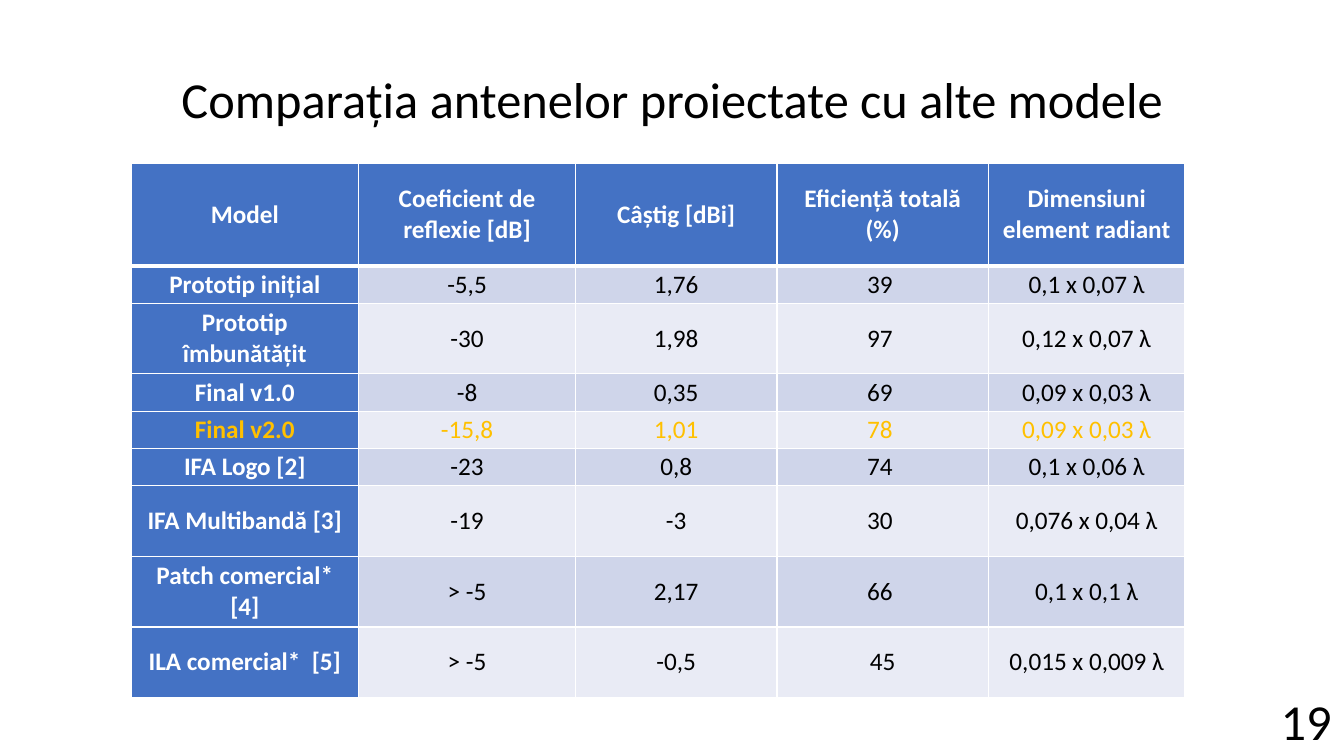
"""Build a slide that compares the designed antennas with other models."""
from lxml import etree
from pptx import Presentation
from pptx.dml.color import RGBColor
from pptx.enum import text
from pptx.oxml.ns import qn
from pptx.util import Cm, Pt

FONT = "Calibri"
COLOURS = {
    "black": "000000",
    "white": "FFFFFF",
    "blue": "4472C4",
    "dark_band": "CFD5EA",
    "light_band": "E9EBF5",
    "highlight": "FFC000",
}
COLUMN_WIDTHS = [5.74, 5.46, 5.08, 5.33, 4.95]
HEADER_HEIGHT, SINGLE, DOUBLE = 2.59, 0.94, 1.78
ROW_HEIGHTS = [HEADER_HEIGHT, SINGLE, DOUBLE] + [SINGLE] * 3 + [DOUBLE] * 3
HIGHLIGHTED_MODEL = "Final v2.0"
ANTENNAS = [
    ["Model", "Coeficient de reflexie [dB]", "Câștig [dBi]", "Eficiență totală (%)",
     "Dimensiuni element radiant"],
    ["Prototip inițial", "-5,5", "1,76", "39 ", "0,1 x 0,07 λ"],
    ["Prototip îmbunătățit", "-30", "1,98", "97 ", "0,12 x 0,07 λ"],
    ["Final v1.0", "-8", "0,35", "69 ", "0,09 x 0,03 λ"],
    [HIGHLIGHTED_MODEL, "-15,8", "1,01", "78 ", "0,09 x 0,03 λ"],
    ["IFA Logo [2]", "-23", "0,8", "74 ", "0,1 x 0,06 λ"],
    ["IFA Multibandă [3]", "-19", "-3", "30 ", "0,076 x 0,04 λ"],
    ["Patch comercial* [4]", "> -5", "2,17", "66 ", "0,1 x 0,1 λ"],
    ["ILA comercial*  [5]", "> -5", "-0,5", "45", "0,015 x 0,009 λ"],
]


def colour(name):
    return RGBColor.from_string(COLOURS[name])


def write(frame, words, size, colour_name, bold=False):
    frame.word_wrap = True
    para = frame.paragraphs[0]
    para.text = words
    para.alignment = text.PP_ALIGN.CENTER
    para.font.name = FONT
    para.font.size = Pt(size)
    para.font.bold = bold
    para.font.color.rgb = colour(colour_name)
    return para


def place(box, left, top, width, height):
    box.left, box.top, box.width, box.height = map(Cm, (left, top, width, height))


def add_title(page, words):
    title = page.shapes.title
    place(title, 2.34, 0.81, 29.21, 2.59)
    frame = title.text_frame
    frame.auto_size = text.MSO_AUTO_SIZE.NONE
    frame.vertical_anchor = text.MSO_ANCHOR.BOTTOM
    para = write(frame, words, 36, "black")
    para.line_spacing = 0.9
    para.space_after = Pt(6)


def add_page_number(page, number):
    box = page.shapes.add_textbox(Cm(31.98), Cm(17.25), Cm(1.88), Cm(1.8))
    frame = box.text_frame
    frame.auto_size = text.MSO_AUTO_SIZE.SHAPE_TO_FIT_TEXT
    frame.vertical_anchor = text.MSO_ANCHOR.MIDDLE
    write(frame, number, 36, "black").space_after = Pt(6)


def add_borders(cell, top, bottom):
    properties = cell._tc.get_or_add_tcPr()
    for side, width in (("L", 1), ("R", 1), ("T", top), ("B", bottom)):
        line = etree.SubElement(properties, qn(f"a:ln{side}"), w=str(Pt(width)))
        fill = etree.SubElement(line, qn("a:solidFill"))
        etree.SubElement(fill, qn("a:srgbClr"), val=COLOURS["white"])


def format_cell(cell, words, row, column, highlighted):
    heading = row == 0 or column == 0
    band = "dark_band" if row % 2 else "light_band"
    add_borders(cell, top=3 if row == 1 else 1, bottom=3 if row == 0 else 1)
    cell.fill.solid()
    cell.fill.fore_color.rgb = colour("blue" if heading else band)
    cell.vertical_anchor = text.MSO_ANCHOR.MIDDLE
    cell.margin_left = cell.margin_right = Cm(0.28)
    cell.margin_top = cell.margin_bottom = 0
    ink = "highlight" if highlighted else "white" if heading else "black"
    write(cell.text_frame, words, 18, ink, bold=heading)


def add_comparison(page):
    frame = page.shapes.add_table(
        len(ROW_HEIGHTS), len(COLUMN_WIDTHS), Cm(3.3), Cm(4.11),
        Cm(sum(COLUMN_WIDTHS)), Cm(sum(ROW_HEIGHTS)))
    table = frame.table
    table.first_col = True
    for column, width in zip(table.columns, COLUMN_WIDTHS):
        column.width = Cm(width)
    for row, height in zip(table.rows, ROW_HEIGHTS):
        row.height = Cm(height)
    for row, antenna in enumerate(ANTENNAS):
        highlighted = antenna[0] == HIGHLIGHTED_MODEL
        for column, words in enumerate(antenna):
            format_cell(table.cell(row, column), words, row, column, highlighted)


def main():
    deck = Presentation()
    deck.slide_width, deck.slide_height = Cm(33.87), Cm(19.05)
    page = deck.slides.add_slide(deck.slide_layouts.get_by_name("Title Only"))
    add_title(page, "Comparația antenelor proiectate cu alte modele")
    add_page_number(page, "19")
    add_comparison(page)
    deck.save("out.pptx")


if __name__ == "__main__":
    main()
